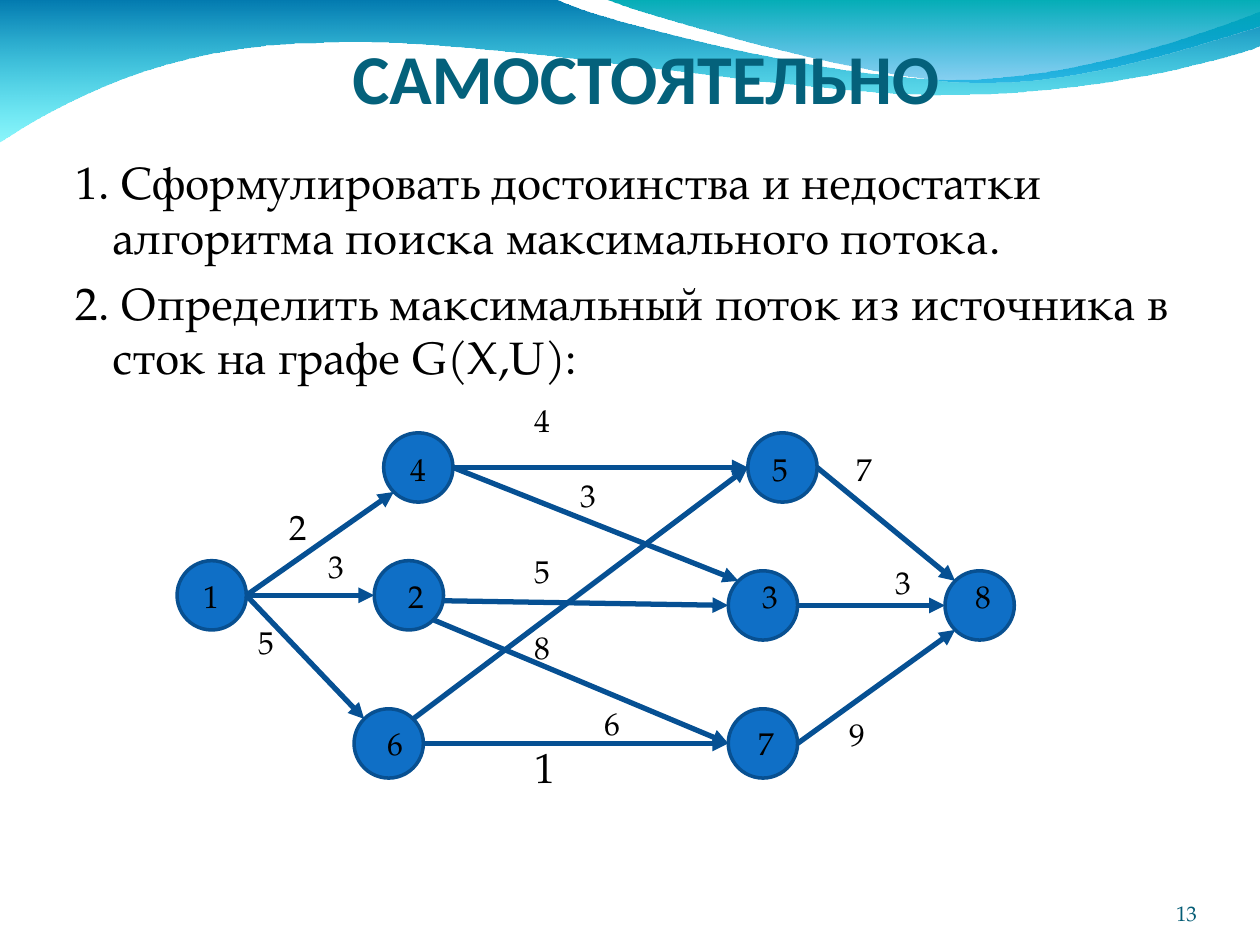
from dataclasses import dataclass
from math import cos, radians, sin

from lxml.etree import SubElement
from pptx import Presentation
from pptx.dml.color import RGBColor
from pptx.enum.shapes import MSO_CONNECTOR, MSO_SHAPE
from pptx.enum.text import MSO_ANCHOR, PP_ALIGN
from pptx.oxml.ns import qn
from pptx.util import Inches, Pt

# The slide is a grid of 100 columns by 75 rows, with square cells
COLUMNS, ROWS = 100, 75
CELL = Inches(10) // COLUMNS

BLACK = RGBColor(0x00, 0x00, 0x00)
TITLE_TEAL = RGBColor(0x04, 0x61, 0x7B)
NUMBER_TEAL = RGBColor(0x04, 0x5C, 0x75)
NODE_BLUE = RGBColor(0x0F, 0x6F, 0xC6)
NODE_EDGE = RGBColor(0x08, 0x50, 0x91)
ARROW_BLUE = RGBColor(0x06, 0x50, 0x93)
WAVE_BLUE = RGBColor(0x00, 0x79, 0xAF)
WAVE_CYAN = RGBColor(0x00, 0xEB, 0xF8)
WAVE_TEAL = RGBColor(0x00, 0xAD, 0xB6)
WAVE_SKY = RGBColor(0x00, 0x9B, 0xE5)

HEADING_FONT, BODY_FONT = "Calibri", "TeX Gyre Pagella"
LABEL_LINE = Pt(21.7)


@dataclass
class Box:
    """An area of the slide, in columns and rows."""
    left: float
    top: float
    width: float
    height: float

    def inner(self, x, y, width, height):
        return Box(self.left + x, self.top + y, width, height)

    def emu(self):
        return [round(v * CELL) for v in (self.left, self.top, self.width, self.height)]

    def rim(self, angle):
        """Point on the inscribed circle; 0 is right, 90 is down."""
        radius = self.width / 2
        return (round((self.left + radius + radius * cos(radians(angle))) * CELL),
                round((self.top + radius + radius * sin(radians(angle))) * CELL))


def write(slide, box, texts, frame_format, paragraph_format, font_format, color):
    frame = slide.shapes.add_textbox(*box.emu()).text_frame
    frame.word_wrap = True
    for name, value in frame_format.items():
        setattr(frame, name, value)
    for index, text in enumerate(texts):
        paragraph = frame.paragraphs[0] if index == 0 else frame.add_paragraph()
        paragraph.text = text
        for name, value in paragraph_format.items():
            if index or name != "space_before":
                setattr(paragraph, name, value)
        for name, value in font_format.items():
            setattr(paragraph.runs[0].font, name, value)
        paragraph.runs[0].font.color.rgb = color
    return frame.paragraphs


def margins(side, top, bottom):
    return {"margin_left": Inches(side), "margin_right": Inches(side),
            "margin_top": Inches(top), "margin_bottom": Inches(bottom)}


# Decorative waves: a segment is a line end (one point) or a curve (three points)
def add_wave(slide, box, start, segments, top_color, bottom_color):
    first, *rest = [(round((box.left + x) * CELL), round((box.top + y) * CELL))
                    for x, y in [start, *sum(segments, [])]]
    builder = slide.shapes.build_freeform(*first)
    builder.add_line_segments(rest, close=True)
    wave = builder.convert_to_shape()
    outline = wave._element.find(".//" + qn("a:path"))
    steps = iter(outline.findall(qn("a:lnTo")))
    for segment in segments:
        corners = [next(steps) for _ in segment]
        if len(corners) == 3:
            curve = outline.makeelement(qn("a:cubicBezTo"))
            corners[0].addprevious(curve)
            for corner in corners:
                curve.append(corner[0])
                outline.remove(corner)
    wave.shadow.inherit = False
    wave.line.fill.background()
    wave.fill.gradient()
    wave.fill.gradient_angle = 270
    for stop, color in zip(wave.fill.gradient_stops, (top_color, bottom_color)):
        stop.color.rgb = color
    # The lower end of the gradient is partly transparent
    last_color = wave.fill._xPr.findall(".//" + qn("a:srgbClr"))[-1]
    SubElement(last_color, qn("a:alpha")).set("val", "45000")


def add_waves(slide, box):
    add_wave(slide, box, (0, -0.1), [
        [(44, -0.1)],
        [(47.6, 1.7), (66.4, 6.3), (75.8, 6.3)],
        [(85.3, 6.3), (95.8, 2.6), (100, 0.9)],
        [(100.1, 3.6)],
        [(98.3, 4.4), (87, 7.6), (74.6, 7.5)],
        [(62.2, 7.5), (38.2, 2.8), (25.7, 3.4)],
        [(12.9, 3.5), (4.6, 8.3), (-0.1, 11.3)],
    ], WAVE_BLUE, WAVE_CYAN)
    add_wave(slide, box, (47.9, -0.1), [
        [(50.9, 1.1), (68.2, 6.2), (76.9, 6.5)],
        [(85.6, 6.9), (96.1, 3.2), (100, 2.1)],
        [(100, 0)],
    ], WAVE_TEAL, WAVE_SKY)


def add_title(slide, box):
    write(slide, box, ["САМОСТОЯТЕЛЬНО"],
          {"vertical_anchor": MSO_ANCHOR.BOTTOM, **margins(0, 0.05, 0)},
          {"alignment": PP_ALIGN.CENTER},
          {"size": Pt(40), "bold": True, "name": HEADING_FONT}, TITLE_TEAL)


def add_tasks(slide, box):
    tasks = write(slide, box, [
        "1. Сформулировать достоинства и недостатки алгоритма поиска максимального потока.",
        "2. Определить максимальный поток из источника в сток на графе G(X,U):",
    ], margins(0.1, 0.05, 0.05), {"space_before": Pt(6.5)},
        {"size": Pt(26), "name": BODY_FONT}, BLACK)
    # Hanging indent
    for task in tasks:
        properties = task._p.get_or_add_pPr()
        properties.set("marL", str(Pt(21.3)))
        properties.set("indent", str(-Pt(21.3)))


def add_node(slide, box):
    node = slide.shapes.add_shape(MSO_SHAPE.OVAL, *box.emu())
    node.shadow.inherit = False
    node.fill.solid()
    node.fill.fore_color.rgb = NODE_BLUE
    node.line.color.rgb = NODE_EDGE
    node.line.width = Pt(2)


def add_arc(slide, start, end):
    arc = slide.shapes.add_connector(MSO_CONNECTOR.STRAIGHT, *start, *end)
    arc.line.color.rgb = ARROW_BLUE
    arc.line.width = Pt(3)
    SubElement(arc.line._get_or_add_ln(), qn("a:tailEnd")).set("type", "triangle")
    SubElement(arc._element.spPr, qn("a:effectLst"))


def add_node_numbers(slide, box, numbers):
    """One row of node numbers, each given with its tab stop in inches."""
    row, = write(slide, box, ["".join(f"\t{number}" for number, _ in numbers)],
                 margins(0.1, 0.05, 0.05), {}, {"size": Pt(18), "name": BODY_FONT}, BLACK)
    stops = SubElement(row._p.get_or_add_pPr(), qn("a:tabLst"))
    for _, position in numbers:
        stop = SubElement(stops, qn("a:tab"))
        stop.set("pos", str(Inches(position)))
        stop.set("algn", "l")


def add_capacities(slide, box, capacities, top=0.05):
    """One column of arc capacities: value, indent in inches, lines skipped, size."""
    lines = write(slide, box, [str(value) for value, *_ in capacities],
                  margins(0.1, top, 0.05), {}, {"name": BODY_FONT}, BLACK)
    for line, (_, indent, skipped, size) in zip(lines, capacities):
        line.runs[0].font.size = Pt(size)
        line._p.get_or_add_pPr().set("marL", str(Inches(indent)))
        if skipped:
            line.space_before = skipped * LABEL_LINE


def add_flow_graph(slide, box):
    # Node centres, relative to the graph box
    centres = {1: (2.8, 16.25), 2: (18.45, 16.25), 3: (46.55, 17.05), 4: (19.2, 6.1),
               5: (48.1, 6.1), 6: (16.85, 28), 7: (46.55, 28), 8: (63.75, 17.05)}
    size = 5.5
    nodes = {number: box.inner(x - size / 2, y - size / 2, size, size)
             for number, (x, y) in centres.items()}
    for area in nodes.values():
        add_node(slide, area)

    # Arcs: from, to, and the rim angles where they leave and arrive
    right, left = 0, 180
    lower_right, lower_left, upper_left, upper_right = 45, 135, 225, 315
    arcs = [
        (1, 4, right, lower_left), (1, 2, right, left), (3, 8, right, left),
        (2, 3, 9, left), (1, 6, right, upper_left), (6, 7, right, left),
        (2, 7, lower_right, left), (4, 3, right, upper_left), (5, 8, right, upper_left),
        (6, 5, upper_right, left), (7, 8, right, lower_left), (4, 5, right, left),
    ]
    for source, target, leave, arrive in arcs:
        add_arc(slide, nodes[source].rim(leave), nodes[target].rim(arrive))

    # Node numbers, row by row
    add_node_numbers(slide, box.inner(-0.7, 14.3, 71.9, 7),
                     [(1, 0.19), (2, 1.81), (3, 4.62), (8, 6.31)])
    add_node_numbers(slide, box.inner(15.7, 4.2, 36.7, 4), [(4, 0.19), (5, 3.06)])
    add_node_numbers(slide, box.inner(13.3, 26, 37.5, 4), [(6, 0.25), (7, 3.19)])

    # Capacities, column by column
    add_capacities(slide, box.inner(5.5, 2.6, 9.4, 19.4),
                   [(2, 0.25, 0, 20), (3, 0.56, 0, 18), (5, 0, 1, 18)], top=0.65)
    add_capacities(slide, box.inner(27.4, 0.3, 10.2, 32),
                   [(4, 0, 0, 18), (3, 0.37, 1, 18), (5, 0, 1, 18),
                    (8, 0, 1, 18), (6, 0.56, 1, 18), (1, 0, 0, 24)])
    add_capacities(slide, box.inner(52.4, 4.2, 7.8, 25),
                   [(7, 0.06, 0, 18), (3, 0.37, 2, 18), (9, 0, 3, 18)])


def add_page_number(slide, box):
    write(slide, box, ["13"],
          {"vertical_anchor": MSO_ANCHOR.BOTTOM, **margins(0, 0, 0)},
          {"alignment": PP_ALIGN.RIGHT},
          {"size": Pt(12), "name": BODY_FONT}, NUMBER_TEAL)


def main():
    deck = Presentation()
    deck.slide_width, deck.slide_height = COLUMNS * CELL, ROWS * CELL
    slide = deck.slides.add_slide(deck.slide_layouts[6])
    add_waves(slide, Box(0, 0, 100, 11.3))
    add_title(slide, Box(6.25, 1.6, 90, 7.8))
    add_tasks(slide, Box(5, 11.74, 90, 57.4))
    add_flow_graph(slide, Box(14, 31, 66.5, 31))
    add_page_number(slide, Box(86.7, 69.5, 8.3, 4))
    deck.save("out.pptx")


if __name__ == "__main__":
    main()
